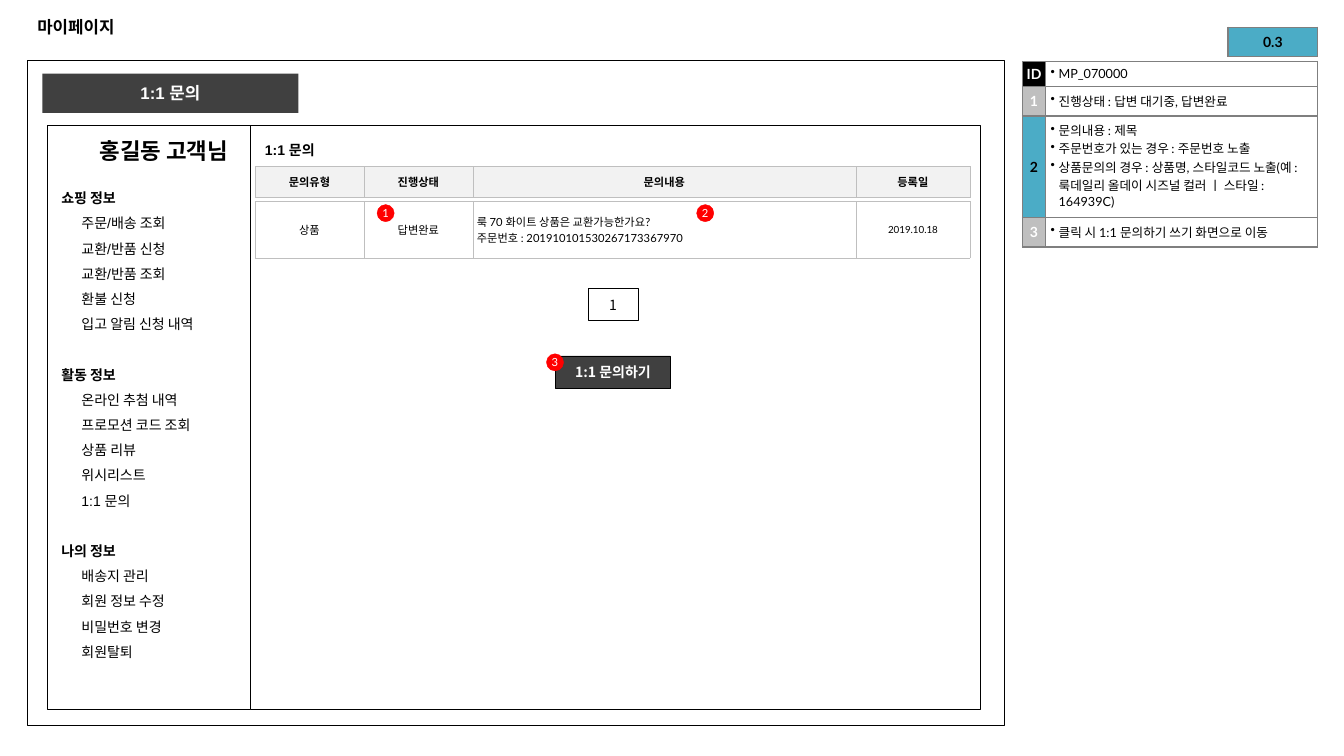
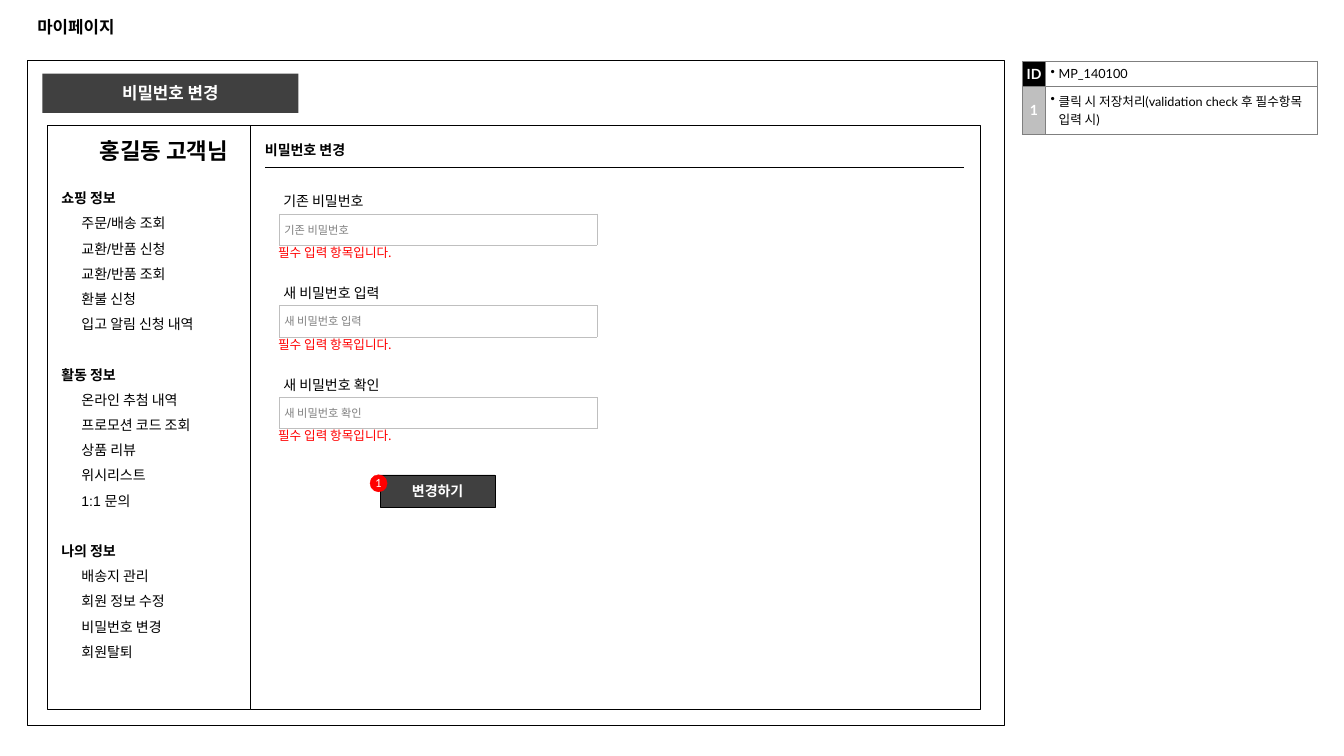
from lxml.etree import SubElement
from pptx import Presentation
from pptx.dml.color import RGBColor
from pptx.enum.shapes import MSO_CONNECTOR, MSO_SHAPE
from pptx.enum.text import MSO_ANCHOR, MSO_AUTO_SIZE, PP_ALIGN
from pptx.oxml.ns import qn
from pptx.util import Inches, Pt

BLACK, WHITE, DARK, RED = "000000", "FFFFFF", "404040", "FF0000"
GRAY, SILVER, PALE, PLACEHOLDER, TEAL = "7F7F7F", "BFBFBF", "F2F2F2", "808080", "4BACC6"
HEADING, BODY, KOREAN = "Arial", "Lato", "Noto Sans CJK KR"
CUSTOMER = "홍길동 고객님"
MENU = {
    "쇼핑 정보": ["주문/배송 조회", "교환/반품 신청", "교환/반품 조회", "환불 신청", "입고 알림 신청 내역"],
    "활동 정보": ["온라인 추첨 내역", "프로모션 코드 조회", "상품 리뷰", "위시리스트", "1:1 문의"],
    "나의 정보": ["배송지 관리", "회원 정보 수정", "비밀번호 변경", "회원탈퇴"],
}
INQUIRY_COLUMNS = [1.08, 1.08, 3.8, 1.13]
FIELD_STEP = 0.91


def color(value):
    return RGBColor.from_string(value)


class Wireframe:
    def __init__(self):
        self.presentation = Presentation()
        self.presentation.slide_width = Inches(13.33)
        self.presentation.slide_height = Inches(7.5)
        self.slide = None

    def style(self, paragraph, size, font=BODY, ink=BLACK, bold=False, align=PP_ALIGN.LEFT):
        paragraph.alignment = align
        paragraph.font.size = Pt(size)
        paragraph.font.name = font
        paragraph.font.bold = bold
        paragraph.font.color.rgb = color(ink)

    def margins(self, holder, size):
        holder.margin_left = holder.margin_right = Inches(size)
        holder.margin_top = holder.margin_bottom = Inches(size)

    def indent(self, paragraph, left, first=0):
        properties = paragraph._p.get_or_add_pPr()
        properties.set("marL", str(Inches(left)))
        properties.set("indent", str(Inches(first)))
        return properties

    def shape(self, left, top, width, height, fill=None, line=None, line_width=0.25,
              text="", kind=MSO_SHAPE.RECTANGLE, margin=None, **style):
        shape = self.slide.shapes.add_shape(
            kind, Inches(left), Inches(top), Inches(width), Inches(height))
        shape.shadow.inherit = False
        if fill:
            shape.fill.solid()
            shape.fill.fore_color.rgb = color(fill)
        else:
            shape.fill.background()
        if line:
            shape.line.color.rgb = color(line)
            shape.line.width = Pt(line_width)
        else:
            shape.line.fill.background()
        if text:
            frame = shape.text_frame
            frame.vertical_anchor = MSO_ANCHOR.MIDDLE
            if margin is not None:
                self.margins(frame, margin)
            frame.text = text
            self.style(frame.paragraphs[0], align=PP_ALIGN.CENTER, **style)

    def button(self, left, top, text, width=1.14, fill=DARK, ink=WHITE, bold=True):
        self.shape(left, top, width, 0.32, fill, BLACK, text=text,
                   size=10, font=KOREAN, ink=ink, bold=bold)

    def badge(self, left, top, number):
        self.shape(left, top, 0.17, 0.17, RED, RED, text=str(number),
                   kind=MSO_SHAPE.OVAL, margin=0, size=8, ink=WHITE)

    def text(self, left, top, width, height, text, spacing=None, margin=None,
             anchor=MSO_ANCHOR.TOP, **style):
        box = self.slide.shapes.add_textbox(
            Inches(left), Inches(top), Inches(width), Inches(height))
        frame = box.text_frame
        frame.word_wrap = True
        frame.vertical_anchor = anchor
        if margin is not None:
            self.margins(frame, margin)
        frame.text = text
        for paragraph in frame.paragraphs:
            if spacing:
                paragraph.line_spacing = spacing
            self.style(paragraph, **style)
        return frame

    def line(self, left, top, right):
        connector = self.slide.shapes.add_connector(
            MSO_CONNECTOR.STRAIGHT, Inches(left), Inches(top), Inches(right), Inches(top))
        connector.line.color.rgb = color(BLACK)
        connector.line.width = Pt(0.75)
        SubElement(connector._element.spPr, qn("a:effectLst"))

    def table(self, left, top, columns, rows, border, border_width):
        table = self.slide.shapes.add_table(
            len(rows), len(columns), Inches(left), Inches(top),
            Inches(sum(columns)), Inches(sum(rows))).table
        table.first_row = table.horz_banding = False
        for column, width in zip(table.columns, columns):
            column.width = Inches(width)
        for row, height in zip(table.rows, rows):
            row.height = Inches(height)
        for cell in table.iter_cells():
            properties = cell._tc.get_or_add_tcPr()
            for side in ("lnL", "lnR", "lnT", "lnB"):
                edge = SubElement(properties, qn(f"a:{side}"), w=str(Pt(border_width)))
                SubElement(SubElement(edge, qn("a:solidFill")), qn("a:srgbClr"), val=border)
        return table

    def cell(self, cell, text, fill, margin_left=0, align=PP_ALIGN.CENTER, **style):
        cell.fill.solid()
        cell.fill.fore_color.rgb = color(fill)
        self.margins(cell, 0)
        cell.margin_left = Inches(margin_left)
        cell.vertical_anchor = MSO_ANCHOR.MIDDLE
        cell.text = text
        for paragraph in cell.text_frame.paragraphs:
            self.style(paragraph, align=align, **style)

    def bullets(self, cell, lines):
        cell.fill.background()
        self.margins(cell, 0.05)
        cell.text = "\n".join(lines)
        for paragraph in cell.text_frame.paragraphs:
            properties = self.indent(paragraph, 0.08, -0.08)
            SubElement(properties, qn("a:buChar"), char="•")
            self.style(paragraph, size=9)

    def notes(self, entries, heights, changed=()):
        table = self.table(10.14, 0.61, [0.23, 2.7], heights, GRAY, 1)
        for index, lines in enumerate(entries):
            fill = BLACK if index == 0 else TEAL if index in changed else SILVER
            self.cell(table.cell(index, 0), str(index or "ID"), fill, size=10, bold=True,
                      ink=BLACK if index in changed else WHITE)
            self.bullets(table.cell(index, 1), lines)

    def version(self, text):
        table = self.table(12.18, 0.27, [0.89], [0.29], GRAY, 1)
        self.cell(table.cell(0, 0), text, TEAL, size=10, bold=True)

    def inquiry_row(self, top, height, texts, fill, bold=False):
        table = self.table(2.53, top, INQUIRY_COLUMNS, [height], SILVER, 0.25)
        for cell, text in zip(table.iter_cells(), texts):
            self.cell(cell, text, fill, size=8, bold=bold)
        return table

    def field(self, top, label):
        table = self.table(2.77, top + 0.33, [3.15], [0.31], SILVER, 0.25)
        self.cell(table.cell(0, 0), label, WHITE, 0.05, PP_ALIGN.LEFT, size=8, ink=PLACEHOLDER)
        self.text(2.77, top, 1.75, 0.32, label, spacing=1.5, margin=0.04, size=10)
        self.text(2.66, top + 0.59, 1.79, 0.25, "필수 입력 항목입니다.",
                  size=9, font=KOREAN, ink=RED)

    def menu(self):
        lines = [line for section, items in MENU.items() for line in (section, *items)]
        frame = self.text(0.51, 1.75, 1.97, 4.73, "\n".join(lines),
                          spacing=Pt(18), size=10, font=HEADING)
        for index, paragraph in enumerate(frame.paragraphs):
            if paragraph.text in MENU:
                paragraph.font.bold = True
                if index:
                    paragraph.space_before = Pt(18)
            else:
                self.indent(paragraph, 0.2)

    def page(self, name):
        self.slide = self.presentation.slides.add_slide(self.presentation.slide_layouts[5])
        title = self.slide.shapes.title
        title.left, title.top = Inches(0.27), Inches(0.07)
        title.width, title.height = Inches(12.79), Inches(0.39)
        title.text_frame.auto_size = MSO_AUTO_SIZE.NONE
        title.text_frame.vertical_anchor = MSO_ANCHOR.MIDDLE
        title.text_frame.text = "마이페이지"
        self.style(title.text_frame.paragraphs[0], 12, HEADING, bold=True)
        self.shape(0.27, 0.6, 9.69, 6.6, line=BLACK, line_width=0.75)
        self.shape(0.47, 1.24, 2.02, 5.8, WHITE, BLACK)
        self.shape(0.42, 0.73, 2.54, 0.39, DARK, text=name,
                   size=12, font=HEADING, ink=WHITE, bold=True)
        self.menu()
        self.text(0.89, 1.33, 1.72, 0.33, CUSTOMER, spacing=Pt(18),
                  size=16, font=HEADING, bold=True)
        self.shape(2.48, 1.24, 7.24, 5.8, WHITE, BLACK)
        self.text(2.53, 1.28, 1.97, 0.33, name, spacing=Pt(18), anchor=MSO_ANCHOR.MIDDLE,
                  size=10, font=HEADING, bold=True)


def inquiry_page(wireframe):
    wireframe.page("1:1 문의")
    wireframe.notes([
        ["MP_070000"],
        ["진행상태 : 답변 대기중, 답변완료"],
        ["문의내용 : 제목",
         "주문번호가 있는 경우 : 주문번호 노출",
         "상품문의의 경우 : 상품명, 스타일코드 노출"
         "(예 : 룩데일리 올데이 시즈널 컬러 ㅣ 스타일 : 164939C)"],
        ["클릭 시 1:1 문의하기 쓰기 화면으로 이동"],
    ], [0.25, 0.29, 1.01, 0.29], changed=(2,))
    wireframe.version("0.3")
    wireframe.inquiry_row(1.65, 0.31, ["문의유형", "진행상태", "문의내용", "등록일"], PALE, bold=True)
    inquiry = "룩 70 화이트 상품은 교환가능한가요?\n주문번호 : 201910101530267173367970"
    table = wireframe.inquiry_row(2, 0.56, ["상품", "답변완료", inquiry, "2019.10.18"], WHITE)
    content, date = table.cell(0, 2), table.cell(0, 3)
    content.margin_left = Inches(0.04)
    for paragraph in content.text_frame.paragraphs:
        paragraph.alignment = PP_ALIGN.LEFT
    date.text_frame.paragraphs[0].font.size = Pt(7)
    wireframe.button(5.83, 2.86, "1", width=0.5, fill=WHITE, ink=BLACK, bold=False)
    wireframe.button(5.51, 3.53, "1:1 문의하기")
    for number, (left, top) in enumerate([(3.74, 2.03), (6.91, 2.03), (5.42, 3.51)], 1):
        wireframe.badge(left, top, number)


def password_page(wireframe):
    wireframe.page("비밀번호 변경")
    wireframe.notes([
        ["MP_140100"],
        ["클릭 시 저장처리(validation check 후 필수항목 입력 시)"],
    ], [0.25, 0.47])
    wireframe.line(2.63, 1.66, 9.56)
    for index, label in enumerate(["기존 비밀번호", "새 비밀번호 입력", "새 비밀번호 확인"]):
        wireframe.field(1.79 + index * FIELD_STEP, label)
    wireframe.button(3.77, 4.71, "변경하기")
    wireframe.badge(3.67, 4.71, 1)


def main():
    wireframe = Wireframe()
    inquiry_page(wireframe)
    password_page(wireframe)
    wireframe.presentation.save("out.pptx")


if __name__ == "__main__":
    main()
